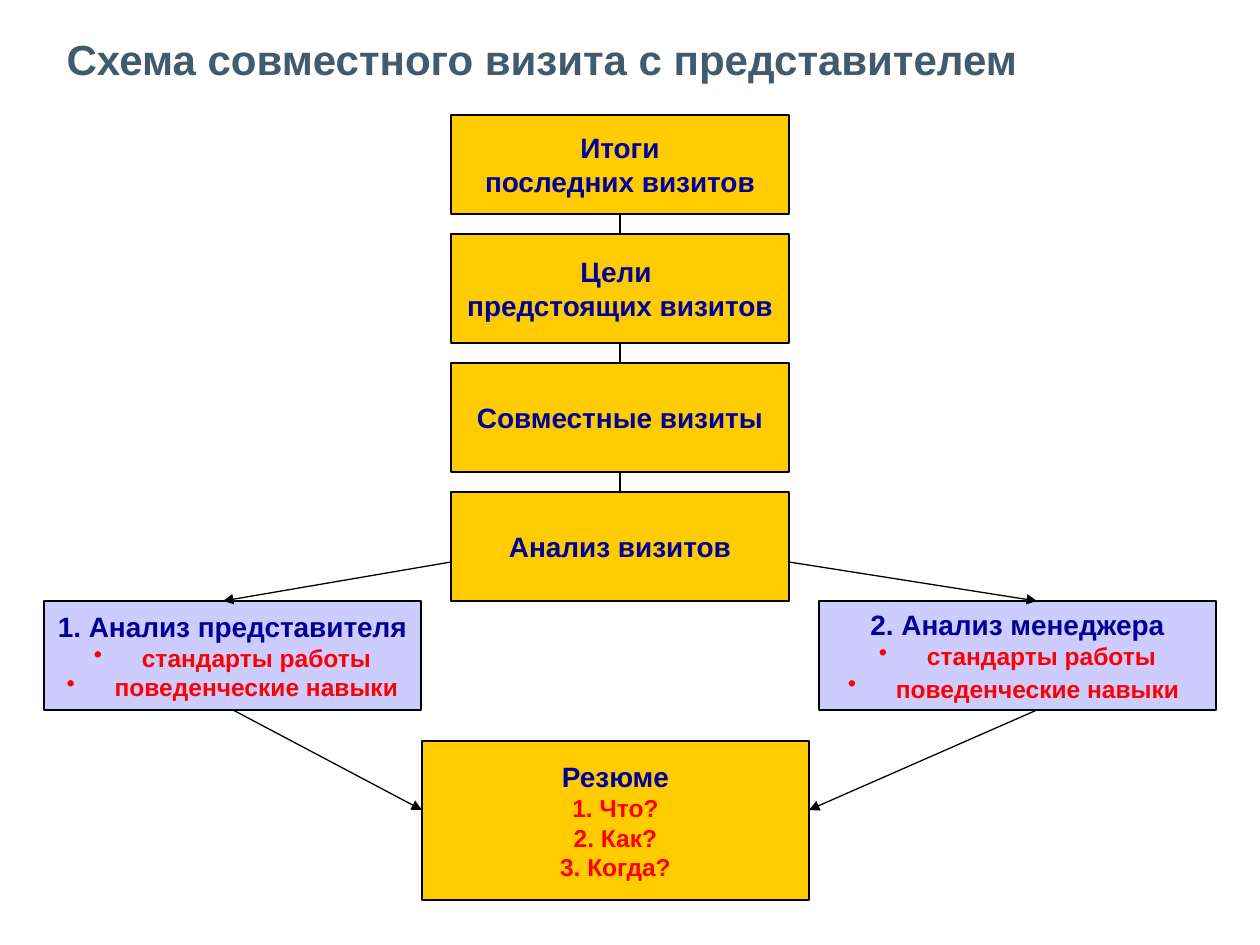
from dataclasses import dataclass

from lxml.etree import SubElement
from pptx import Presentation
from pptx.dml.color import RGBColor
from pptx.enum.shapes import MSO_CONNECTOR, MSO_SHAPE
from pptx.enum.text import MSO_ANCHOR, MSO_AUTO_SIZE, PP_ALIGN
from pptx.oxml.ns import qn
from pptx.util import Emu, Pt

PX_PER_INCH = 126


def px(length):
    return Emu(round(length * 914400 / PX_PER_INCH))


@dataclass(frozen=True)
class Theme:
    font: str = "Arial"
    title_color: str = "415A6C"
    heading_color: str = "000099"
    detail_color: str = "FF0000"
    step_fill: str = "FFCC00"
    review_fill: str = "CCCCFF"
    line_color: str = "000000"
    title_size: int = 24
    title_space_size: int = 32
    heading_size: int = 16
    detail_size: int = 14
    line_width: float = 0.75


def add_span(para, text, *, font, size, color, bold=True):
    span = para.add_run()
    span.text = text
    span.font.name = font
    span.font.size = Pt(size)
    span.font.bold = bold
    span.font.color.rgb = RGBColor.from_string(color)


def set_indent(para, indent, bullet_color=None):
    properties = para._p.get_or_add_pPr()
    properties.set("marL", str(px(indent)))
    properties.set("indent", str(-px(indent)))
    if bullet_color:
        color = SubElement(properties, qn("a:buClr"))
        SubElement(color, qn("a:srgbClr"), val=bullet_color)
        SubElement(properties, qn("a:buChar"), char="•")


class VisitDiagram:
    def __init__(self, page, theme):
        self.page = page
        self.theme = theme

    def title(self, text, left, top, width, height):
        theme = self.theme
        box = self.page.shapes.title
        box.left, box.top, box.width, box.height = map(px, (left, top, width, height))
        frame = box.text_frame
        frame.auto_size = MSO_AUTO_SIZE.NONE
        frame.vertical_anchor = MSO_ANCHOR.MIDDLE
        para = frame.paragraphs[0]
        para.alignment = PP_ALIGN.LEFT
        add_span(para, text, font=theme.font, size=theme.title_size, color=theme.title_color)
        add_span(para, " ", font=theme.font, size=theme.title_space_size,
                 color=theme.title_color, bold=False)

    def box(self, left, top, width, height, fill, headings, details=(), indent=0, bullets=False):
        theme = self.theme
        box = self.page.shapes.add_shape(MSO_SHAPE.RECTANGLE, *map(px, (left, top, width, height)))
        box.shadow.inherit = False
        box.fill.solid()
        box.fill.fore_color.rgb = RGBColor.from_string(fill)
        self.outline(box.line)
        frame = box.text_frame
        frame.word_wrap = False
        frame.vertical_anchor = MSO_ANCHOR.MIDDLE
        rows = [(text, theme.heading_size, theme.heading_color, None) for text in headings]
        bullet_color = theme.detail_color if bullets else None
        rows += [(text, theme.detail_size, theme.detail_color, bullet_color) for text in details]
        for index, (text, size, color, bullet) in enumerate(rows):
            para = frame.add_paragraph() if index else frame.paragraphs[0]
            para.alignment = PP_ALIGN.CENTER
            set_indent(para, indent, bullet)
            add_span(para, text, font=theme.font, size=size, color=color)
        return box

    def outline(self, line):
        line.color.rgb = RGBColor.from_string(self.theme.line_color)
        line.width = Pt(self.theme.line_width)

    def line(self, start, end, arrow=False):
        line = self.page.shapes.add_connector(MSO_CONNECTOR.STRAIGHT, *map(px, start + end))
        self.outline(line.line)
        if arrow:
            SubElement(line.line._get_or_add_ln(), qn("a:tailEnd"), type="triangle")
        SubElement(line._element.spPr, qn("a:effectLst"))


def main():
    theme = Theme()
    deck = Presentation()
    deck.slide_width, deck.slide_height = px(1260), px(945)
    page = deck.slides.add_slide(deck.slide_layouts[5])
    diagram = VisitDiagram(page, theme)
    diagram.title("Схема совместного визита с представителем", 54, 0, 1152, 106)

    step_left, step_width, gap = 451, 338, 20
    step_right = step_left + step_width
    step_center = step_left + step_width // 2
    steps = [
        (99, ["Итоги", "последних визитов"]),
        (109, ["Цели ", "предстоящих визитов"]),
        (109, ["Совместные визиты"]),
        (109, ["Анализ визитов"]),
    ]
    top = 115
    joints = []
    for height, headings in steps:
        diagram.box(step_left, top, step_width, height, theme.step_fill, headings)
        joints.append(top + height)
        top += height + gap

    review_top, review_height, indent = joints[-1], 109, 48
    review_bottom = review_top + review_height
    reviews = [
        (44, 377, "1. Анализ представителя"),
        (819, 397, "2. Анализ менеджера"),
    ]
    details = ["стандарты работы", "поведенческие навыки"]
    review_boxes = [
        diagram.box(left, review_top, width, review_height, theme.review_fill,
                    [heading], details, indent, bullets=True)
        for left, width, heading in reviews
    ]
    add_span(review_boxes[-1].text_frame.paragraphs[-1], " ", font=theme.font,
             size=theme.heading_size, color=theme.detail_color)

    summary_left, summary_width = 422, 387
    diagram.box(summary_left, 741, summary_width, 159, theme.step_fill, ["Резюме"],
                ["1. Что?", "2. Как?", "3. Когда?"], indent)

    for joint in joints[:-1]:
        diagram.line((step_center, joint), (step_center, joint + gap))

    branch_y, summary_y = 562, 810
    branches = [
        (step_left, 223, 233, summary_left),
        (step_right, 1037, 1037, summary_left + summary_width),
    ]
    for step_x, review_in, _, _ in branches:
        diagram.line((step_x, branch_y), (review_in, review_top), arrow=True)
    for _, _, review_out, summary_x in branches:
        diagram.line((review_out, review_bottom), (summary_x, summary_y), arrow=True)

    deck.save("out.pptx")


if __name__ == "__main__":
    main()
